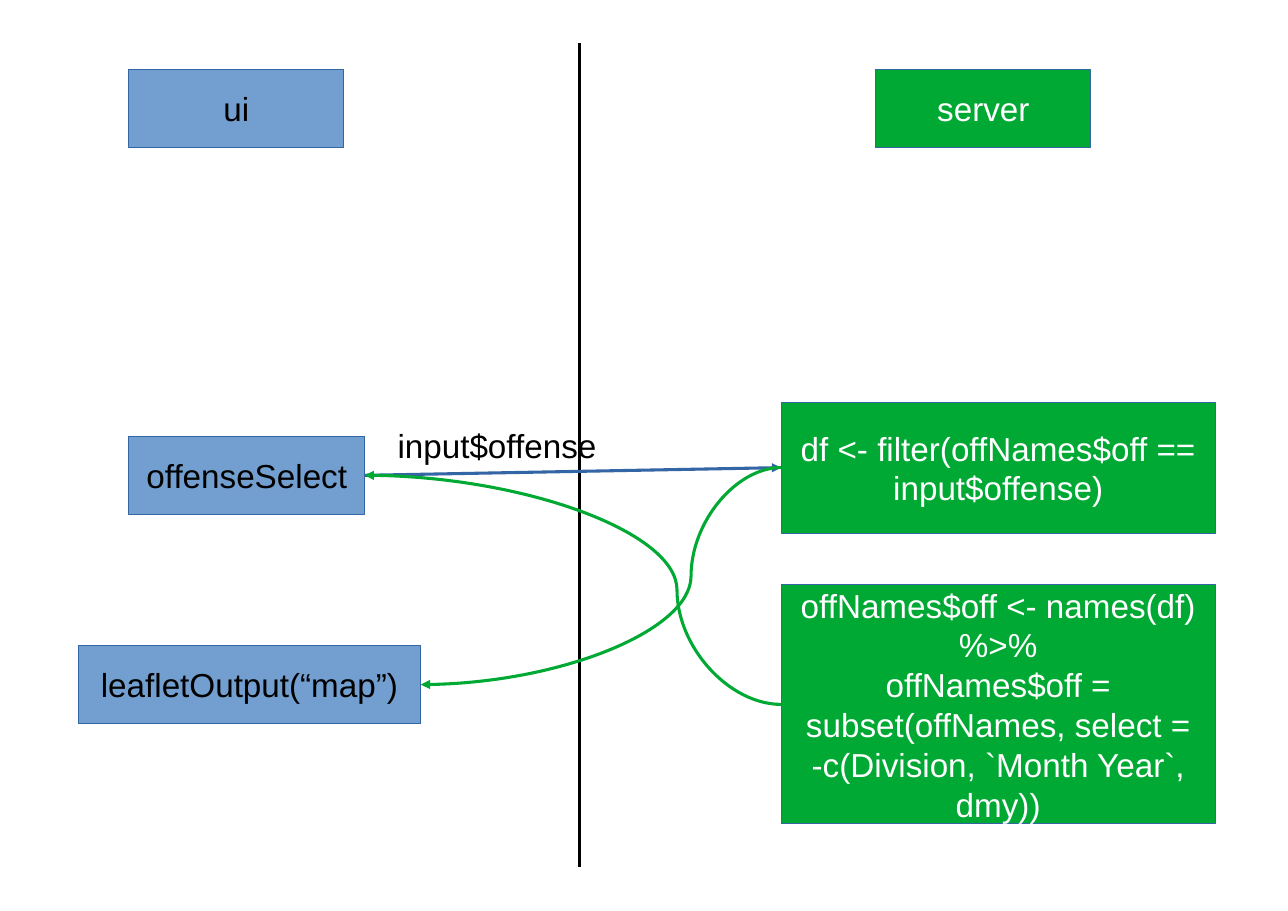
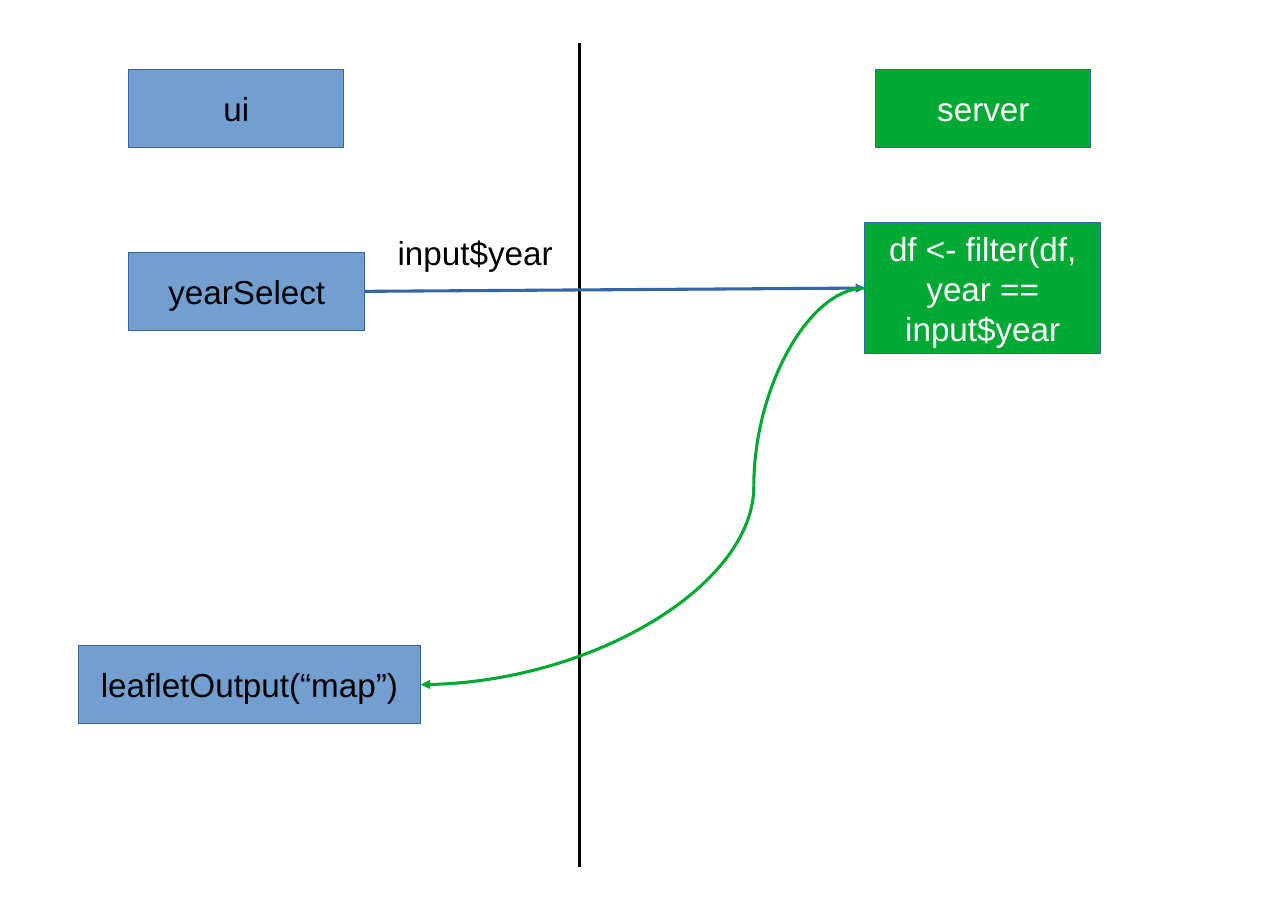
from lxml import etree
from pptx import Presentation, util as u
from pptx.dml.color import RGBColor
from pptx.enum import shapes, text
from pptx.oxml.ns import qn

# Shared style
WIDTH, HEIGHT = 11.69, 8.27
FONT, FONT_SIZE = "Arial", 21.7
BLACK, WHITE, OUTLINE, GREEN = "000000", "FFFFFF", "3465A4", "00A933"
STYLES = {"ui": ("729FCF", BLACK), "server": (GREEN, WHITE)}  # fill, text
DIVIDER_X, DIVIDER_TOP, DIVIDER_BOTTOM = 5.26, 0.39, 7.87
ROW, TALL_ROW = 0.71, 1.19  # box heights
LEFT_SITE, RIGHT_SITE = 1, 3  # connection sites of a rectangle

# Content: boxes are name: (side, left, top, width, height, paragraphs)
COMMON_BOXES = {
    "ui": ("ui", 1.17, 0.63, 1.95, ROW, ["ui"]),
    "server": ("server", 7.95, 0.63, 1.95, ROW, ["server"]),
    "map": ("ui", 0.71, 5.86, 3.11, ROW, ["leafletOutput(“map”)"]),
}
SLIDES = [
    {
        "boxes": {
            "select": ("ui", 1.17, 3.96, 2.14, ROW, ["offenseSelect"]),
            "filter": ("server", 7.09, 3.65, 3.94, TALL_ROW,
                       ["df <- filter(offNames$off == input$offense)"]),
            "names": ("server", 7.09, 5.31, 3.94, 2.17,
                      ["offNames$off <- names(df) %>%",
                       "offNames$off = subset(offNames, select = "
                       "-c(Division, `Month Year`, dmy))"]),
        },
        "label": ("input$offense", 3.51, 3.81, 2.4, 0.79),
        "replies": [("filter", "map"), ("names", "select")],
    },
    {
        "boxes": {
            "select": ("ui", 1.17, 2.29, 2.14, ROW, ["yearSelect"]),
            "filter": ("server", 7.85, 2.02, 2.14, TALL_ROW,
                       ["df <- filter(df, year == input$year"]),
        },
        "label": ("input$year", 3.51, 2.06, 1.75, 0.77),
        "replies": [("filter", "map")],
    },
]


def color(value):
    return RGBColor.from_string(value)


def inches(*lengths):
    return [u.Inches(length) for length in lengths]


def write(shape, paragraphs, text_color, alignment):
    frame = shape.text_frame
    frame.word_wrap = True
    frame.text = "\n".join(paragraphs)
    for paragraph in frame.paragraphs:
        paragraph.alignment = alignment
        paragraph.font.name = FONT
        paragraph.font.size = u.Pt(FONT_SIZE)
        paragraph.font.color.rgb = color(text_color)
    return frame


def add_box(slide, side, left, top, width, height, paragraphs):
    fill, text_color = STYLES[side]
    box = slide.shapes.add_shape(shapes.MSO_SHAPE.RECTANGLE,
                                 *inches(left, top, width, height))
    box.shadow.inherit = False
    box.fill.solid()
    box.fill.fore_color.rgb = color(fill)
    box.line.color.rgb = color(OUTLINE)
    box.line.width = 0
    frame = write(box, paragraphs, text_color, text.PP_ALIGN.CENTER)
    frame.vertical_anchor = text.MSO_ANCHOR.MIDDLE
    return box


def add_label(slide, words, *place):
    label = slide.shapes.add_textbox(*inches(*place))
    write(label, [words], BLACK, text.PP_ALIGN.LEFT)


def add_line(slide, kind, line_color, start=(0, 0), end=(0, 0)):
    line = slide.shapes.add_connector(kind, *inches(*start, *end))
    line.line.color.rgb = color(line_color)
    line.line.width = 0
    etree.SubElement(line._element.spPr, qn("a:effectLst"))
    return line


def add_arrow(slide, kind, line_color, source, source_site, target, target_site):
    arrow = add_line(slide, kind, line_color)
    arrow.begin_connect(source, source_site)
    arrow.end_connect(target, target_site)
    etree.SubElement(arrow.line._get_or_add_ln(), qn("a:tailEnd"), type="triangle")
    return arrow


def add_request(slide, source, target):
    add_arrow(slide, shapes.MSO_CONNECTOR.STRAIGHT, OUTLINE,
              source, RIGHT_SITE, target, LEFT_SITE)


def add_reply(slide, source, target):
    arrow = add_arrow(slide, shapes.MSO_CONNECTOR.CURVE, GREEN,
                      source, LEFT_SITE, target, RIGHT_SITE)
    # The curve turns a quarter of the way along
    geometry = arrow._element.spPr.find(qn("a:prstGeom"))
    adjustments = geometry.find(qn("a:avLst"))
    if adjustments is None:
        adjustments = etree.SubElement(geometry, qn("a:avLst"))
    etree.SubElement(adjustments, qn("a:gd"), name="adj1", fmla="val 25000")


def build_slide(presentation, content):
    slide = presentation.slides.add_slide(presentation.slide_layouts[6])
    add_line(slide, shapes.MSO_CONNECTOR.STRAIGHT, BLACK,
             (DIVIDER_X, DIVIDER_TOP), (DIVIDER_X, DIVIDER_BOTTOM))
    boxes = {name: add_box(slide, *box)
             for name, box in (COMMON_BOXES | content["boxes"]).items()}
    add_label(slide, *content["label"])
    add_request(slide, boxes["select"], boxes["filter"])
    for source, target in content["replies"]:
        add_reply(slide, boxes[source], boxes[target])


def main():
    presentation = Presentation()
    presentation.slide_width, presentation.slide_height = inches(WIDTH, HEIGHT)
    for content in SLIDES:
        build_slide(presentation, content)
    presentation.save("out.pptx")


if __name__ == "__main__":
    main()
